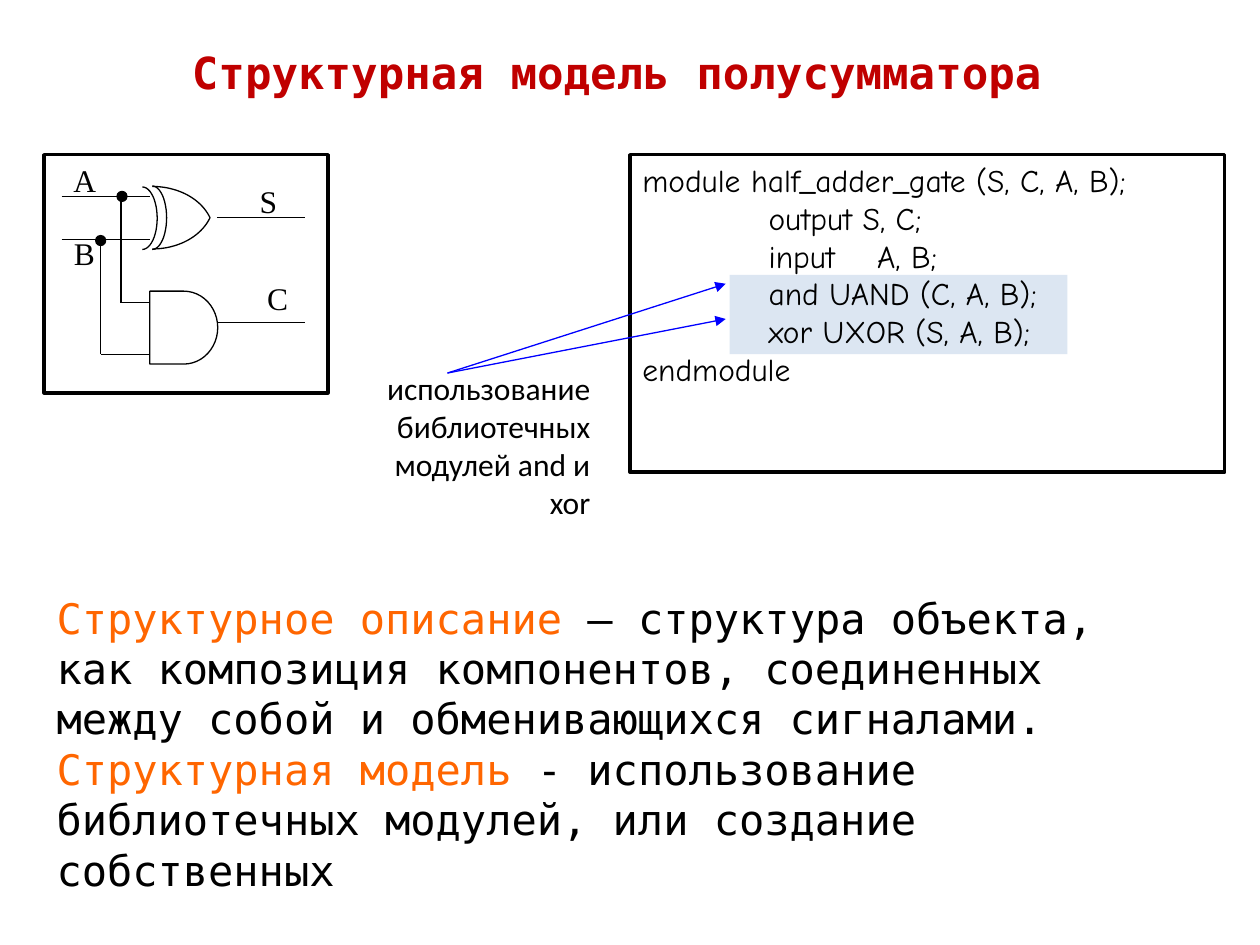
import math

import pptx
import pptx.dml.color
import pptx.enum.shapes
import pptx.enum.text
import pptx.oxml
import pptx.oxml.ns
import pptx.util

Cm = pptx.util.Cm
Pt = pptx.util.Pt
SHAPE = pptx.enum.shapes.MSO_SHAPE
ALIGN = pptx.enum.text.PP_ALIGN
ANCHOR = pptx.enum.text.MSO_ANCHOR

MONO = "DejaVu Sans Mono"
BLACK = "000000"
ORANGE = "FF6600"
BLUE = "0000FF"

CODE = [
    "module half_adder_gate (S, C, A, B);",
    "            output S, C;",
    "            input    A, B;",
    "            and UAND (C, A, B);",
    "            xor UXOR (S, A, B);",
    "endmodule",
]
DEFINITIONS = [
    ("Структурное описание", " – структура объекта, как композиция компонентов, "
     "соединенных между собой и обменивающихся сигналами."),
    ("Структурная модель", " - использование библиотечных модулей, "
     "или создание собственных"),
]
WIRES = [
    (1.24, 3.96, 3.02, 3.96), (1.24, 4.83, 3.02, 4.83),
    (2.44, 3.96, 2.44, 6.1), (2.44, 6.1, 3.02, 6.1),
    (2.03, 4.83, 2.03, 7.14), (2.03, 7.14, 3.02, 7.14),
    (4.37, 4.39, 6.15, 4.39), (4.37, 6.5, 6.15, 6.5),
]
JUNCTIONS = [(2.03, 4.85), (2.46, 3.96)]
SIGNALS = [("A", 1.7, 3.63), ("B", 1.7, 5.1), ("S", 5.41, 4.06), ("C", 5.6, 6.0)]
XOR_ARCS = [
    (3.07, 4.39, 0.29, 0.64, -90, 90),
    (2.87, 4.4, 0.3, 0.63, -90, 90),
    (3.07, 4.72, 1.24, 0.96, -90, -20),
    (3.07, 4.06, 1.24, 0.96, 90, 20),
]


def color(value):
    """Turn a hex string into a colour."""
    return pptx.dml.color.RGBColor.from_string(value)


def format_font(font, name, size, value, bold=False):
    """Set the typeface, size and colour of a font."""
    font.name = name
    font.size = Pt(size)
    font.bold = bold
    font.color.rgb = color(value)


def paint(shape, fill=None, line=None, weight=0.75):
    """Give a shape its fill and outline, without a shadow."""
    shape.shadow.inherit = False
    if fill:
        shape.fill.solid()
        shape.fill.fore_color.rgb = color(fill)
    else:
        shape.fill.background()
    if line:
        shape.line.color.rgb = color(line)
        shape.line.width = Pt(weight)
    else:
        shape.line.fill.background()


def add_figure(shapes, kind, left, top, width, height, **style):
    """Add a painted preset shape."""
    shape = shapes.add_shape(kind, Cm(left), Cm(top), Cm(width), Cm(height))
    paint(shape, **style)
    return shape


def add_line(shapes, ends, value=BLACK, arrow=False):
    """Add a thin straight line, with an optional arrowhead."""
    connector = shapes.add_connector(
        pptx.enum.shapes.MSO_CONNECTOR.STRAIGHT, *[Cm(end) for end in ends])
    connector.line.color.rgb = color(value)
    connector.line.width = Pt(0.75)
    properties = connector._element.spPr
    namespace = pptx.oxml.ns.nsdecls("a")
    if arrow:
        outline = properties.find(pptx.oxml.ns.qn("a:ln"))
        outline.append(pptx.oxml.parse_xml(
            f'<a:tailEnd {namespace} type="triangle"/>'))
    properties.append(pptx.oxml.parse_xml(f'<a:effectLst {namespace}/>'))


def add_arc(shapes, x, y, radius_x, radius_y, start, end):
    """Draw an open elliptical arc between two angles in degrees."""
    steps = 24
    angles = [math.radians(start + (end - start) * step / steps)
              for step in range(steps + 1)]
    points = [(Cm(x + radius_x * math.cos(angle)), Cm(y + radius_y * math.sin(angle)))
              for angle in angles]
    builder = shapes.build_freeform(*points[0])
    builder.add_line_segments(points[1:], close=False)
    paint(builder.convert_to_shape(), line=BLACK)


def write_lines(shape, lines, name, align, anchor=ANCHOR.TOP):
    """Fill a shape with 18 pt black paragraphs."""
    frame = shape.text_frame
    frame.word_wrap = True
    frame.vertical_anchor = anchor
    frame.text = "\n".join(lines)
    for paragraph in frame.paragraphs:
        paragraph.alignment = align
        for run in paragraph.runs:
            format_font(run.font, name, 18, BLACK)


def add_text(shapes, left, top, width, height):
    """Add an empty text box."""
    return shapes.add_textbox(Cm(left), Cm(top), Cm(width), Cm(height))


def add_title(slide, text):
    """Place and format the title."""
    title = slide.shapes.title
    title.left, title.top, title.width, title.height = (
        Cm(1.27), Cm(0.76), Cm(22.86), Cm(1.37))
    frame = title.text_frame
    frame.text = text
    frame.auto_size = pptx.enum.text.MSO_AUTO_SIZE.NONE
    frame.vertical_anchor = ANCHOR.MIDDLE
    paragraph = frame.paragraphs[0]
    paragraph.alignment = ALIGN.CENTER
    format_font(paragraph.runs[0].font, MONO, 25.2, "C00000", True)


def add_circuit(slide):
    """Draw the half adder built from an XOR and an AND gate."""
    shapes = slide.shapes.add_group_shape().shapes
    for wire in WIRES:
        add_line(shapes, wire)
    add_figure(shapes, SHAPE.FLOWCHART_DELAY, 3.02, 5.87, 1.37, 1.47, line=BLACK)
    for x, y in JUNCTIONS:
        add_figure(shapes, SHAPE.OVAL, x - 0.1, y - 0.1, 0.2, 0.2,
                   fill=BLACK, line=BLACK)
    for arc in XOR_ARCS:
        add_arc(shapes, *arc)
    for name, x, y in SIGNALS:
        label = add_text(shapes, x - 0.47, y - 0.51, 0.94, 1.02)
        write_lines(label, [name], "Times New Roman", ALIGN.CENTER, ANCHOR.MIDDLE)
        label.text_frame.word_wrap = False
    add_figure(slide.shapes, SHAPE.RECTANGLE, 0.89, 3.12, 5.72, 4.8,
               line=BLACK, weight=2)


def add_code(slide):
    """Show the module code with its gate lines highlighted."""
    add_figure(slide.shapes, SHAPE.RECTANGLE, 14.71, 5.54, 6.81, 1.6, fill="DCE6F2")
    frame = add_figure(slide.shapes, SHAPE.RECTANGLE, 12.7, 3.12, 11.99, 6.4,
                       line=BLACK, weight=2)
    write_lines(frame, CODE, "Comic Neue", ALIGN.LEFT)


def add_remark(slide):
    """Add the remark with arrows to the gate lines."""
    remark = add_text(slide.shapes, 6.99, 7.32, 5.16, 2.39)
    write_lines(remark, ["использование", "библиотечных", "модулей and и xor"],
                "Calibri", ALIGN.RIGHT)
    for y in (5.72, 6.43):
        add_line(slide.shapes, (9.02, 7.52, 14.63, y), BLUE, arrow=True)


def add_definitions(slide):
    """Write the definitions with their terms in orange."""
    frame = add_text(slide.shapes, 0.89, 11.81, 23.39, 5.89).text_frame
    frame.word_wrap = True
    frame.text = "\n".join(term for term, _ in DEFINITIONS)
    for paragraph, (_, meaning) in zip(frame.paragraphs, DEFINITIONS):
        format_font(paragraph.runs[0].font, MONO, 24, ORANGE)
        run = paragraph.add_run()
        run.text = meaning
        format_font(run.font, MONO, 24, BLACK)


def main():
    """Build and save the slide."""
    presentation = pptx.Presentation()
    presentation.slide_width = Cm(25.4)
    presentation.slide_height = Cm(19.05)
    slide = presentation.slides.add_slide(presentation.slide_layouts[5])
    add_title(slide, "Структурная модель полусумматора ")
    add_code(slide)
    add_circuit(slide)
    add_definitions(slide)
    add_remark(slide)
    presentation.save("out.pptx")


if __name__ == "__main__":
    main()
